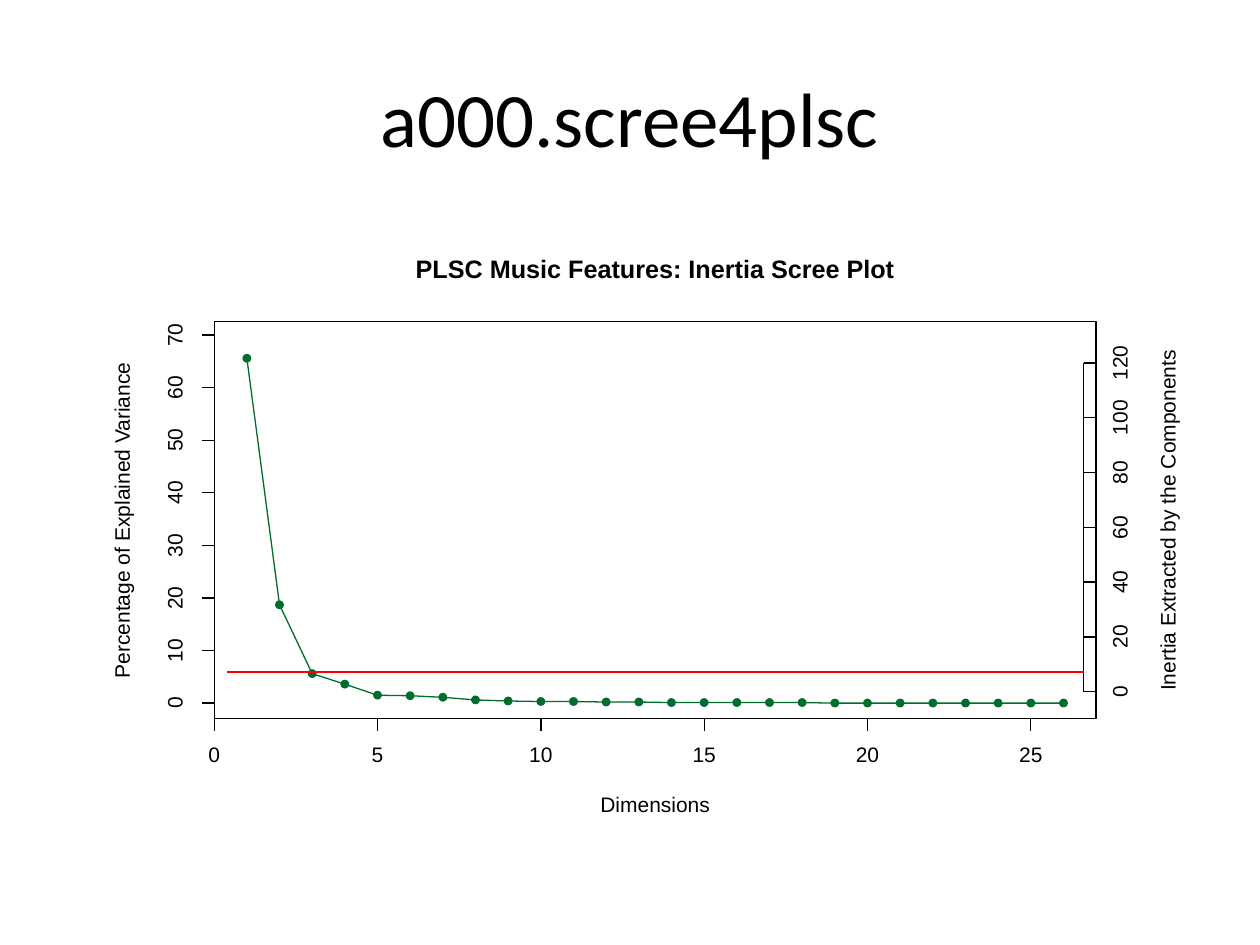
from dataclasses import dataclass

from lxml.etree import SubElement
from pptx import Presentation
from pptx.dml.color import RGBColor
from pptx.enum.shapes import MSO_CONNECTOR as Connector, MSO_SHAPE as Shape
from pptx.enum.text import MSO_ANCHOR as Anchor, PP_ALIGN as Align
from pptx.oxml.ns import qn
from pptx.util import Inches, Pt


@dataclass(frozen=True)
class Theme:
    black: RGBColor = RGBColor(0x00, 0x00, 0x00)
    white: RGBColor = RGBColor(0xFF, 0xFF, 0xFF)
    green: RGBColor = RGBColor(0x00, 0x6D, 0x2C)
    red: RGBColor = RGBColor(0xFF, 0x00, 0x00)
    title_font: str = "Calibri"
    plot_font: str = "Arial"
    title_size: float = 44
    heading_size: float = 14.4
    label_size: float = 12
    thin: float = 0.75
    thick: float = 1.5


@dataclass(frozen=True)
class Label:
    text: str
    x: float  # centre
    y: float  # centre
    width: float
    rotation: int = 0
    size: float = Theme.label_size
    bold: bool = False


@dataclass(frozen=True)
class Axis:
    """Ticks run from (x, y) by (step_x, step_y); each tick and label is offset."""
    x: float
    y: float
    step_x: float
    step_y: float
    values: range
    tick_x: float
    tick_y: float
    label_x: float
    label_y: float
    rotation: int


THEME = Theme()

# Plot frame and data scale, in inches
LEFT, TOP, RIGHT, BOTTOM = 1.7, 2.55, 8.7, 5.7
ZERO_Y = 5.58
DIMENSION_STEP = 7 / 27
PERCENT_STEP = 2.92 / 70
DOT = 0.07
DIGIT_WIDTH = 0.1

EXPLAINED_VARIANCE = [65.6, 18.7, 5.6, 3.6, 1.5, 1.4, 1.1, 0.6, 0.4, 0.3, 0.3, 0.2, 0.2,
                      0.1, 0.1, 0.1, 0.1, 0.1] + [0] * 8
MEAN_VARIANCE = 5.9

AXES = [
    Axis(LEFT, BOTTOM, 5 * DIMENSION_STEP, 0, range(0, 26, 5), 0, 0.1, 0, 0.3, 0),
    Axis(LEFT, ZERO_Y, 0, -10 * PERCENT_STEP, range(0, 71, 10), -0.1, 0, -0.3, 0, 270),
    Axis(RIGHT - 0.1, 5.49, 0, -0.435, range(0, 121, 20), 0.1, 0, 0.3, 0, 270),
]

LABELS = [
    Label("PLSC Music Features: Inertia Scree Plot", 5.2, 2.15, 3.9,
          size=THEME.heading_size, bold=True),
    Label("Dimensions", 5.2, 6.4, 0.92),
    Label("Percentage of Explained Variance", 0.98, 4.13, 2.6, 270),
    Label("Inertia Extracted by the Components", 9.28, 4.13, 2.8, 270),
]


def percent_y(percent: float) -> float:
    return ZERO_Y - percent * PERCENT_STEP


def add_line(slide, x1: float, y1: float, x2: float, y2: float,
             color: RGBColor = THEME.black, weight: float = THEME.thin) -> None:
    line = slide.shapes.add_connector(
        Connector.STRAIGHT, Inches(x1), Inches(y1), Inches(x2), Inches(y2))
    line.line.color.rgb = color
    line.line.width = Pt(weight)
    SubElement(line._element.spPr, qn("a:effectLst"))


def add_box(slide, kind: Shape, left: float, top: float, width: float, height: float,
            fill: RGBColor | None, line: RGBColor | None) -> None:
    shape = slide.shapes.add_shape(
        kind, Inches(left), Inches(top), Inches(width), Inches(height))
    shape.shadow.inherit = False
    if fill is None:
        shape.fill.background()
    else:
        shape.fill.solid()
        shape.fill.fore_color.rgb = fill
    if line is None:
        shape.line.fill.background()
    else:
        shape.line.color.rgb = line
        shape.line.width = Pt(THEME.thin)


def add_label(slide, label: Label) -> None:
    height = label.size / 72
    shape = slide.shapes.add_textbox(
        Inches(label.x - label.width / 2), Inches(label.y - height / 2),
        Inches(label.width), Inches(height))
    shape.rotation = label.rotation
    frame = shape.text_frame
    frame.margin_left = frame.margin_right = frame.margin_top = frame.margin_bottom = 0
    frame.word_wrap = False
    frame.vertical_anchor = Anchor.MIDDLE
    paragraph = frame.paragraphs[0]
    paragraph.text = label.text
    paragraph.alignment = Align.CENTER
    paragraph.line_spacing = Pt(label.size)
    paragraph.font.name = THEME.plot_font
    paragraph.font.size = Pt(label.size)
    paragraph.font.bold = label.bold
    paragraph.font.color.rgb = THEME.black


def add_axis(slide, axis: Axis) -> None:
    last = len(axis.values) - 1
    add_line(slide, axis.x, axis.y, axis.x + last * axis.step_x, axis.y + last * axis.step_y)
    for index, value in enumerate(axis.values):
        x, y = axis.x + index * axis.step_x, axis.y + index * axis.step_y
        add_line(slide, x, y, x + axis.tick_x, y + axis.tick_y)
        add_label(slide, Label(str(value), x + axis.label_x, y + axis.label_y,
                               DIGIT_WIDTH * len(str(value)), axis.rotation))


def add_curve(slide, points: list[tuple[float, float]]) -> None:
    corners = [(Inches(x), Inches(y)) for x, y in points]
    builder = slide.shapes.build_freeform(*corners[0])
    builder.add_line_segments(corners[1:], close=False)
    curve = builder.convert_to_shape()
    curve.shadow.inherit = False
    curve.fill.background()
    curve.line.color.rgb = THEME.green
    curve.line.width = Pt(THEME.thin)


def add_title(slide, text: str) -> None:
    shape = slide.shapes.add_textbox(Inches(0.5), Inches(0.3), Inches(9), Inches(1.25))
    frame = shape.text_frame
    frame.word_wrap = True
    frame.vertical_anchor = Anchor.MIDDLE
    paragraph = frame.paragraphs[0]
    paragraph.text = text
    paragraph.alignment = Align.CENTER
    paragraph.font.name = THEME.title_font
    paragraph.font.size = Pt(THEME.title_size)
    paragraph.font.color.rgb = THEME.black


def main() -> None:
    presentation = Presentation()
    presentation.slide_width, presentation.slide_height = Inches(10), Inches(7.5)
    slide = presentation.slides.add_slide(presentation.slide_layouts[6])

    # Title and plot background
    add_title(slide, "a000.scree4plsc")
    add_box(slide, Shape.RECTANGLE, 0.5, 1.75, 9, 4.95, THEME.white, THEME.white)

    # Curve, axes, frame and captions
    points = [(LEFT + dimension * DIMENSION_STEP, percent_y(percent))
              for dimension, percent in enumerate(EXPLAINED_VARIANCE, start=1)]
    add_curve(slide, points)
    for axis in AXES:
        add_axis(slide, axis)
    add_box(slide, Shape.RECTANGLE, LEFT, TOP, RIGHT - LEFT, BOTTOM - TOP, None, THEME.black)
    for label in LABELS:
        add_label(slide, label)

    # Data points and mean line
    for x, y in points:
        add_box(slide, Shape.OVAL, x - DOT / 2, y - DOT / 2, DOT, DOT, THEME.green, None)
    mean_y = percent_y(MEAN_VARIANCE)
    add_line(slide, LEFT + 0.1, mean_y, RIGHT - 0.1, mean_y, THEME.red, THEME.thick)

    presentation.save("out.pptx")


if __name__ == "__main__":
    main()
